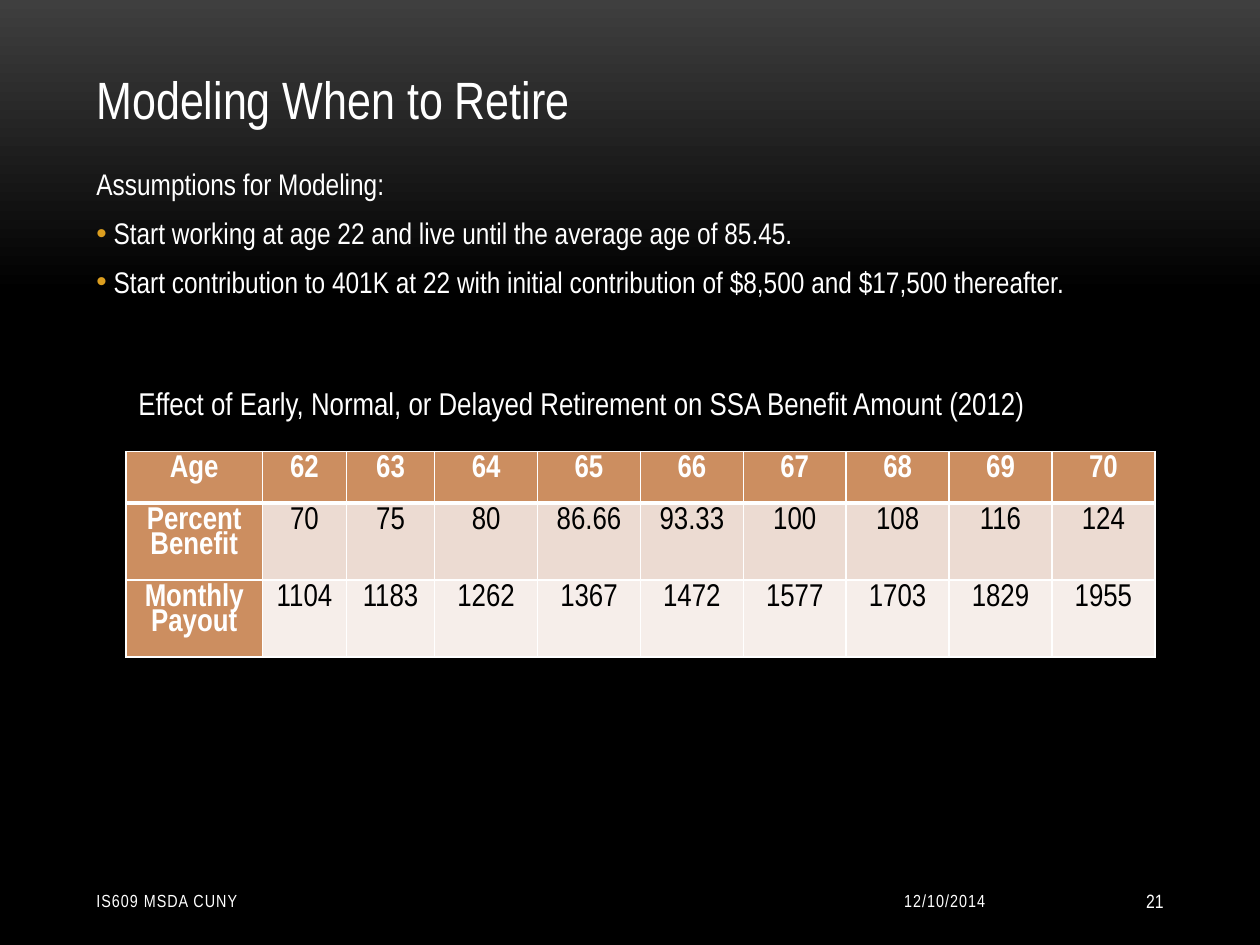
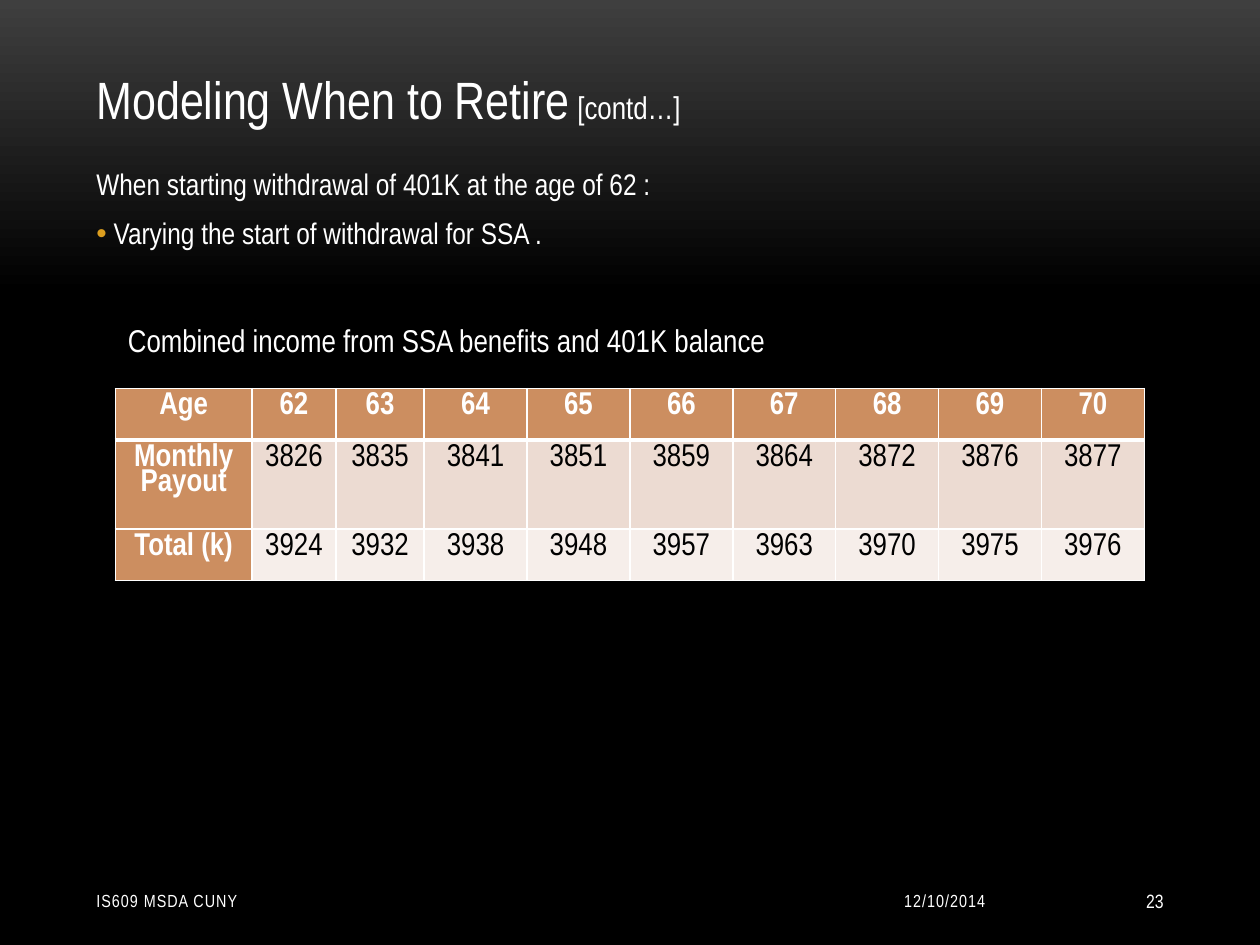
from dataclasses import dataclass

from lxml.etree import SubElement
from pptx import Presentation
from pptx.dml.color import RGBColor as RGB
from pptx.enum.text import MSO_ANCHOR as Anchor, PP_ALIGN as Align
from pptx.oxml.ns import qn
from pptx.util import Emu, Pt

EMU_PER_PX = 7620


@dataclass(frozen=True)
class Theme:
    font: str = "Arial Narrow"
    white: RGB = RGB(0xFF, 0xFF, 0xFF)
    black: RGB = RGB(0, 0, 0)
    glow: RGB = RGB(0x3F, 0x3F, 0x3F)
    bullet: RGB = RGB(0xDC, 0x9E, 0x1F)
    header: RGB = RGB(0xCC, 0x8E, 0x60)
    bands: tuple = (RGB(0xEC, 0xDB, 0xD2), RGB(0xF6, 0xEE, 0xEA))
    title_size: int = 30
    table_size: int = 18
    body_size: int = 17
    number_size: int = 11
    footer_size: int = 10


THEME = Theme()
TITLE_BOX = (80, 36, 1040, 94)
FOOTER_BOX = (80, 834, 1040, 48)
COLUMN_WIDTHS = [130, 80, 84] + [98] * 7
AGES = range(62, 71)


def px(value):
    return Emu(value * EMU_PER_PX)


def style(paragraph, size, color=THEME.white, bold=False, align=Align.LEFT):
    paragraph.alignment = align
    paragraph.font.name = THEME.font
    paragraph.font.size = Pt(size)
    paragraph.font.bold = bold
    paragraph.font.color.rgb = color


def add_text(slide, box, lines, size, align=Align.LEFT, anchor=Anchor.TOP):
    frame = slide.shapes.add_textbox(*map(px, box)).text_frame
    frame.word_wrap = True
    frame.vertical_anchor = anchor
    frame.text = "\n".join(lines)
    for paragraph in frame.paragraphs:
        style(paragraph, size, align=align)
    return frame


def add_background(slide):
    fill = slide.background.fill
    fill.gradient()
    fill.gradient_angle = 270
    stops = ((0, THEME.glow), (0.31, THEME.black))
    for stop, (position, color) in zip(fill.gradient_stops, stops):
        stop.position = position
        stop.color.rgb = color


def add_title(slide, box, title, suffix):
    frame = add_text(slide, box, [title], THEME.title_size, anchor=Anchor.BOTTOM)
    if suffix:
        run = frame.paragraphs[0].add_run()
        run.text = f" {suffix}"
        run.font.size = Pt(THEME.table_size)


def add_bullet(paragraph):
    properties = paragraph._p.get_or_add_pPr()
    properties.set("marL", "0")
    properties.set("indent", "0")
    default_font = properties.find(qn("a:defRPr"))
    color = SubElement(properties, qn("a:buClr"))
    SubElement(color, qn("a:srgbClr"), val=str(THEME.bullet))
    SubElement(properties, qn("a:buFont"), typeface="Arial")
    SubElement(properties, qn("a:buChar"), char="•")
    properties.append(default_font)


def add_body(slide, box, lead, points):
    lines = [lead] + [f" {point}" for point in points]
    frame = add_text(slide, box, lines, THEME.body_size)
    for paragraph in frame.paragraphs:
        paragraph.line_spacing = 1.07
        paragraph.space_after = Pt(6)
    for paragraph in frame.paragraphs[1:]:
        add_bullet(paragraph)


def add_borders(cell, **widths):
    properties = cell._tc.get_or_add_tcPr()
    for side in "LRTB":
        width = Pt(widths.get(side, 1))
        line = SubElement(properties, qn(f"a:ln{side}"), w=str(width))
        fill = SubElement(line, qn("a:solidFill"))
        SubElement(fill, qn("a:srgbClr"), val=str(THEME.white))


def fill_cell(cell, value, row, column):
    is_header = row == 0 or column == 0
    add_borders(cell, B=3 if row == 0 else 1, T=3 if row == 1 else 1)
    cell.fill.solid()
    cell.fill.fore_color.rgb = THEME.header if is_header else THEME.bands[row - 1]
    cell.text = str(value)
    for paragraph in cell.text_frame.paragraphs:
        color = THEME.white if is_header else THEME.black
        style(paragraph, THEME.table_size, color, is_header, Align.CENTER)
        paragraph.line_spacing = 0.85


def add_captioned_table(slide, left, top, caption, rows, row_heights):
    width = sum(COLUMN_WIDTHS)
    add_text(slide, (left, top, width, 48), [caption], THEME.table_size)
    rows = [["Age", *AGES], *rows]
    box = (left, top + 70, width, sum(row_heights))
    table = slide.shapes.add_table(len(rows), len(COLUMN_WIDTHS), *map(px, box)).table
    table.first_row = table.horz_banding = False
    for column, column_width in zip(table.columns, COLUMN_WIDTHS):
        column.width = px(column_width)
    for row, height in zip(table.rows, row_heights):
        row.height = px(height)
    for row, values in enumerate(rows):
        for column, value in enumerate(values):
            fill_cell(table.cell(row, column), value, row, column)


def add_footer(slide, box, number):
    left, top, width, height = box
    parts = (
        ("IS609 MSDA CUNY", 0, 380, Align.LEFT, THEME.footer_size, 60),
        ("12/10/2014", 670, 200, Align.RIGHT, THEME.footer_size, 60),
        (str(number), width - 130, 130, Align.RIGHT, THEME.number_size, 0),
    )
    for text, offset, part_width, align, size, spacing in parts:
        part_box = (left + offset, top, part_width, height)
        frame = add_text(slide, part_box, [text], size, align, Anchor.MIDDLE)
        run = frame.paragraphs[0].runs[0]
        run._r.get_or_add_rPr().set("spc", str(spacing))


def add_model_slide(presentation, number, body, table, suffix=""):
    slide = presentation.slides.add_slide(presentation.slide_layouts[6])
    add_background(slide)
    add_title(slide, TITLE_BOX, "Modeling When to Retire", suffix)
    add_body(slide, **body)
    add_captioned_table(slide, **table)
    add_footer(slide, FOOTER_BOX, number)


def main():
    presentation = Presentation()
    presentation.slide_width = px(1200)
    presentation.slide_height = px(900)
    add_model_slide(
        presentation,
        21,
        body=dict(
            box=(80, 150, 1040, 190),
            lead="Assumptions for Modeling:",
            points=[
                "Start working at age 22 and live until the average age of 85.45.",
                "Start contribution to 401K at 22 with initial contribution of "
                "$8,500 and $17,500 thereafter.",
            ],
        ),
        table=dict(
            left=120,
            top=360,
            caption="Effect of Early, Normal, or Delayed Retirement on SSA "
            "Benefit Amount (2012)",
            rows=[
                ["Percent Benefit", 70, 75, 80, 86.66, 93.33, 100, 108, 116, 124],
                ["Monthly Payout", 1104, 1183, 1262, 1367, 1472, 1577, 1703, 1829, 1955],
            ],
            row_heights=[49, 69, 69],
        ),
    )
    add_model_slide(
        presentation,
        23,
        suffix="[contd…]",
        body=dict(
            box=(80, 150, 1040, 100),
            lead="When starting withdrawal of 401K at the age of 62 :",
            points=["Varying the start of withdrawal for SSA ."],
        ),
        table=dict(
            left=110,
            top=300,
            caption="Combined income from SSA benefits and 401K balance",
            rows=[
                ["Monthly\nPayout", 3826, 3835, 3841, 3851, 3859, 3864, 3872, 3876, 3877],
                ["Total (k)", 3924, 3932, 3938, 3948, 3957, 3963, 3970, 3975, 3976],
            ],
            row_heights=[49, 85, 49],
        ),
    )
    presentation.save("out.pptx")


if __name__ == "__main__":
    main()
